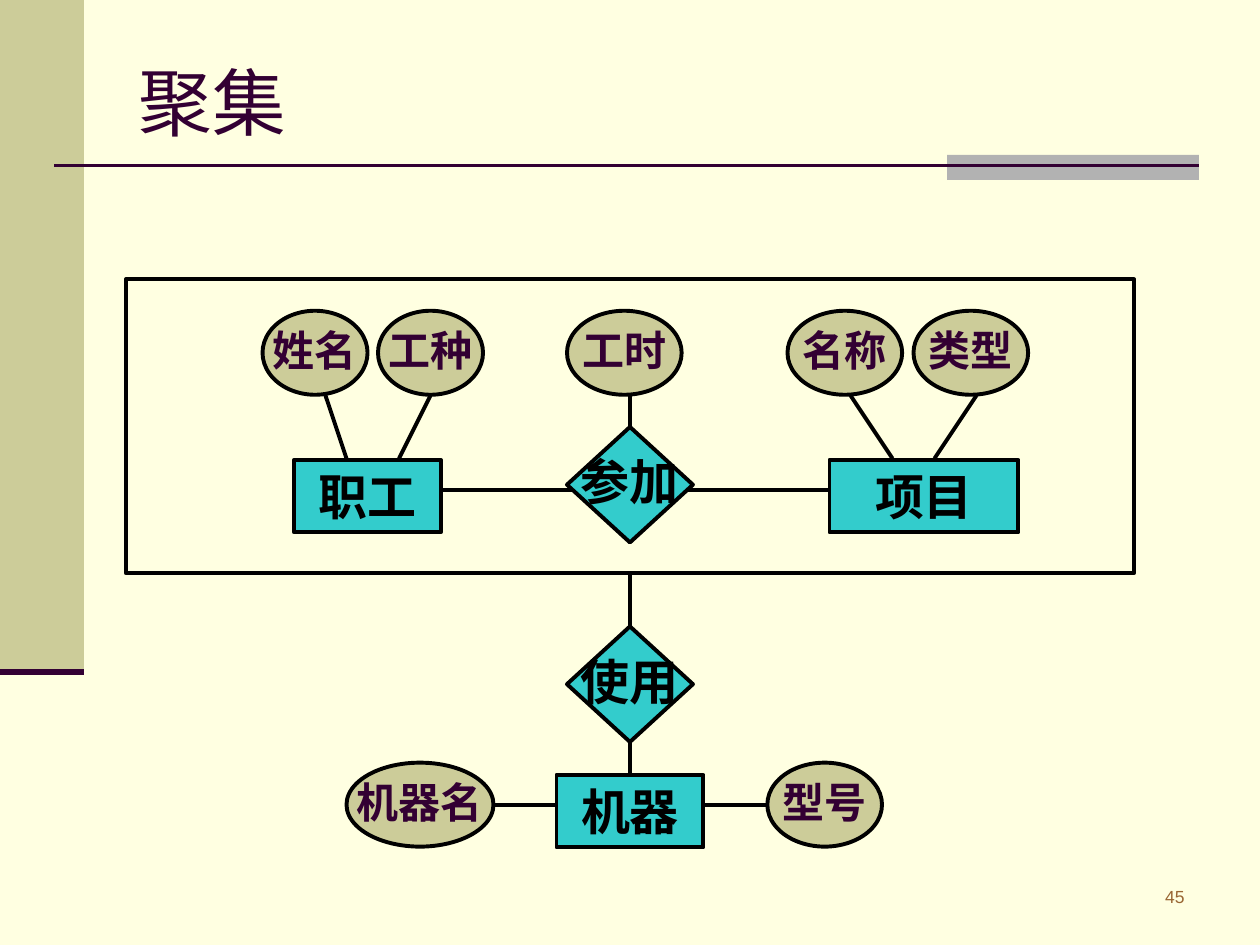
"""Build a slide with an entity-relationship diagram that shows aggregation."""
import pptx
import pptx.dml.color
import pptx.enum.shapes
import pptx.enum.text
import pptx.oxml
import pptx.util

Pt = pptx.util.Pt
RGBColor = pptx.dml.color.RGBColor
SHAPE = pptx.enum.shapes.MSO_SHAPE
ALIGN = pptx.enum.text.PP_ALIGN
ANCHOR = pptx.enum.text.MSO_ANCHOR

CREAM = RGBColor(0xFF, 0xFF, 0xE1)
KHAKI = RGBColor(0xCC, 0xCC, 0x99)
GRAY = RGBColor(0xB2, 0xB2, 0xB2)
PLUM = RGBColor(0x33, 0x00, 0x33)
TEAL = RGBColor(0x33, 0xCC, 0xCC)
BROWN = RGBColor(0x99, 0x66, 0x33)
BLACK = RGBColor(0, 0, 0)

presentation = pptx.Presentation()
presentation.slide_width = Pt(720)
presentation.slide_height = Pt(540)
slide = presentation.slides.add_slide(presentation.slide_layouts[5])
slide.background.fill.solid()
slide.background.fill.fore_color.rgb = CREAM


def add_node(kind, left, top, width, height, fill=None, outline=BLACK):
    node = slide.shapes.add_shape(kind, Pt(left), Pt(top), Pt(width), Pt(height))
    node.shadow.inherit = False
    if fill is None:
        node.fill.background()
    else:
        node.fill.solid()
        node.fill.fore_color.rgb = fill
    if outline is None:
        node.line.fill.background()
    else:
        node.line.color.rgb = outline
        node.line.width = Pt(2.25)
    return node


def add_link(x1, y1, x2, y2, color=BLACK, weight=2.25):
    link = slide.shapes.add_connector(
        pptx.enum.shapes.MSO_CONNECTOR.STRAIGHT, Pt(x1), Pt(y1), Pt(x2), Pt(y2))
    link.line.color.rgb = color
    link.line.width = Pt(weight)
    pptx.oxml.ns  # noqa
    link._element.spPr.append(pptx.oxml.xmlchemy.OxmlElement("a:effectLst"))


add_node(SHAPE.RECTANGLE, 0, 0, 48, 384, KHAKI, None)
add_node(SHAPE.RECTANGLE, 541.2, 88.5, 144, 14.4, GRAY, None)
add_link(31, 94.5, 685.2, 94.5, PLUM, 1.5)
add_link(0, 384, 48, 384, PLUM, 3.5)

title = slide.shapes.title
title.left, title.top, title.width, title.height = Pt(72), Pt(21.6), Pt(612), Pt(72.7)
title.text_frame.text = "聚集"
title.text_frame.auto_size = pptx.enum.text.MSO_AUTO_SIZE.NONE
title.text_frame.vertical_anchor = ANCHOR.MIDDLE
heading = title.text_frame.paragraphs[0]
heading.alignment = ALIGN.LEFT
heading.font.name = "Times New Roman"
heading.font.size = Pt(42)
heading.font.color.rgb = PLUM

page_box = slide.shapes.add_textbox(Pt(592.5), Pt(502.5), Pt(91.5), Pt(25.2))
page_box.text_frame.word_wrap = True
page_box.text_frame.text = "45"
page_number = page_box.text_frame.paragraphs[0]
page_number.alignment = ALIGN.RIGHT
page_number.font.name = "Arial"
page_number.font.size = Pt(10)
page_number.font.color.rgb = BROWN

add_node(SHAPE.RECTANGLE, 72, 159.6, 576, 168)

for ends in [
    (252, 280, 336, 280), (390, 280, 474, 280),
    (198, 262, 186, 226), (228, 262, 246, 226),
    (510, 262, 486, 226), (534, 262, 558, 226),
    (360, 226, 360, 244), (360, 327.6, 360, 358),
    (360, 424, 360, 442), (318, 460, 282, 460), (438, 460, 402, 460),
]:
    add_link(*ends)

STYLES = {
    "entity": (SHAPE.RECTANGLE, 41.4, TEAL, 28, BLACK, 1),
    "relationship": (SHAPE.DIAMOND, 66, TEAL, 28, BLACK, 0.9),
    "attribute": (SHAPE.OVAL, 48, KHAKI, 24, PLUM, 0.9),
}
for label, role, left, top, width in [
    ("职工", "entity", 168, 262.8, 84),
    ("项目", "entity", 474, 262.8, 108),
    ("机器", "entity", 318, 442.8, 84),
    ("参加", "relationship", 324, 244, 72),
    ("使用", "relationship", 324, 358, 72),
    ("姓名", "attribute", 150, 177.6, 60),
    ("工种", "attribute", 216, 177.6, 60),
    ("工时", "attribute", 324, 177.6, 65.5),
    ("名称", "attribute", 450, 177.6, 65.5),
    ("类型", "attribute", 522, 177.6, 65.5),
    ("机器名", "attribute", 198, 435.8, 84),
    ("型号", "attribute", 438.5, 435.8, 65.5),
]:
    kind, height, fill, size, color, spacing = STYLES[role]
    frame = add_node(kind, left, top, width, height, fill).text_frame
    frame.word_wrap = role == "entity"
    frame.vertical_anchor = ANCHOR.MIDDLE
    frame.text = label
    caption = frame.paragraphs[0]
    caption.alignment = ALIGN.CENTER
    caption.line_spacing = spacing
    caption.font.name = "Times New Roman"
    caption.font.size = Pt(size)
    caption.font.bold = True
    caption.font.color.rgb = color

presentation.save("out.pptx")
